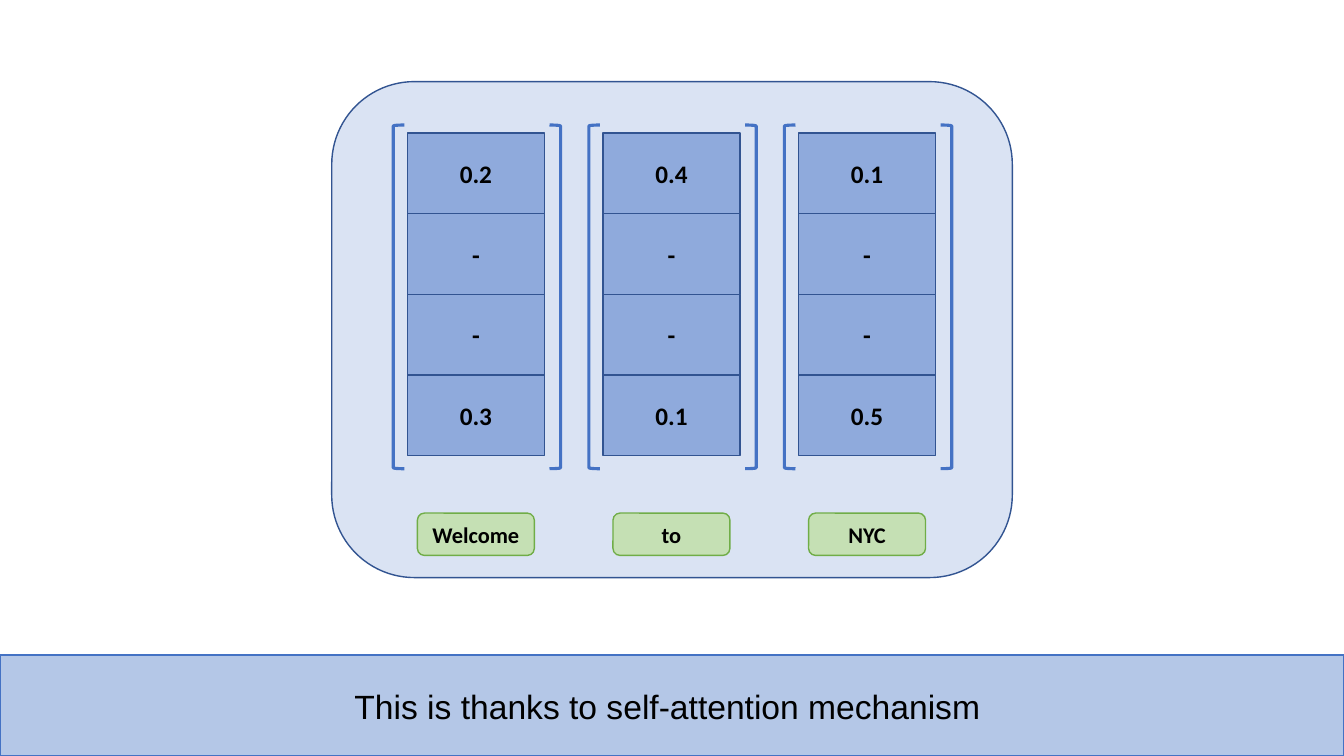
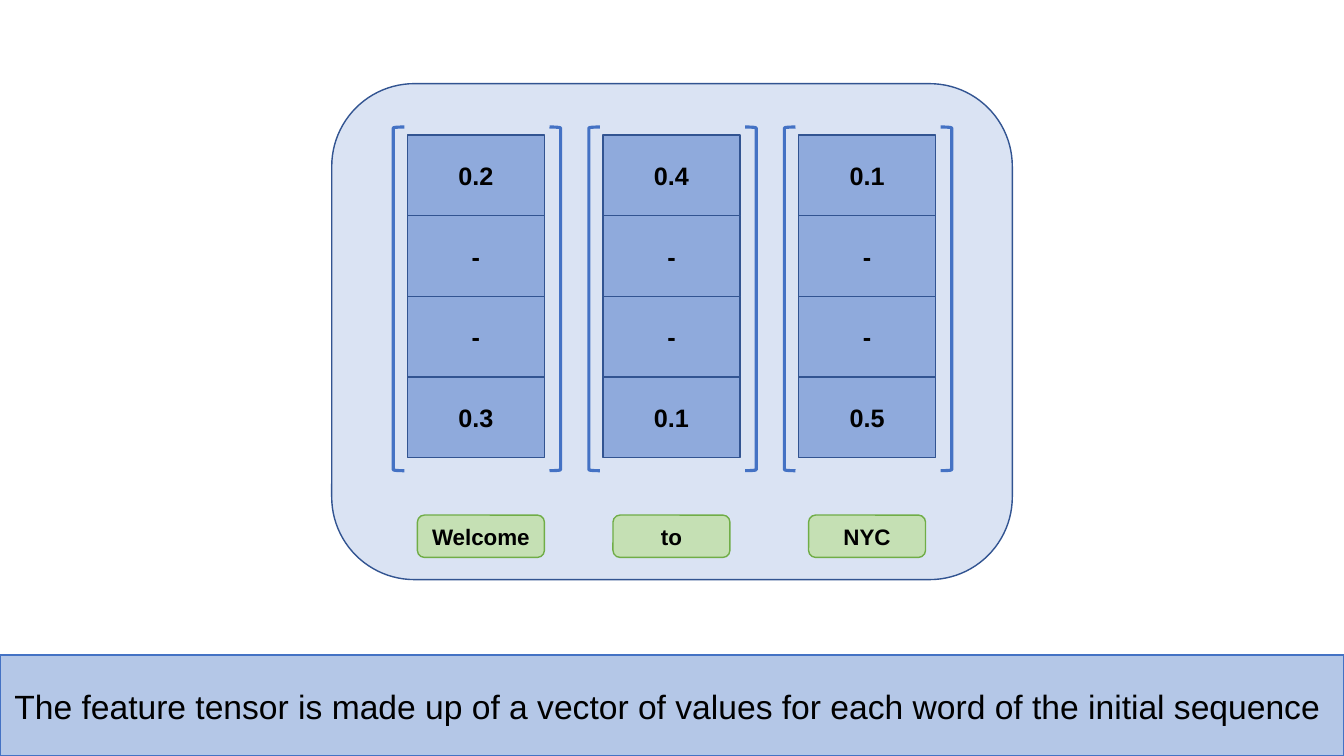
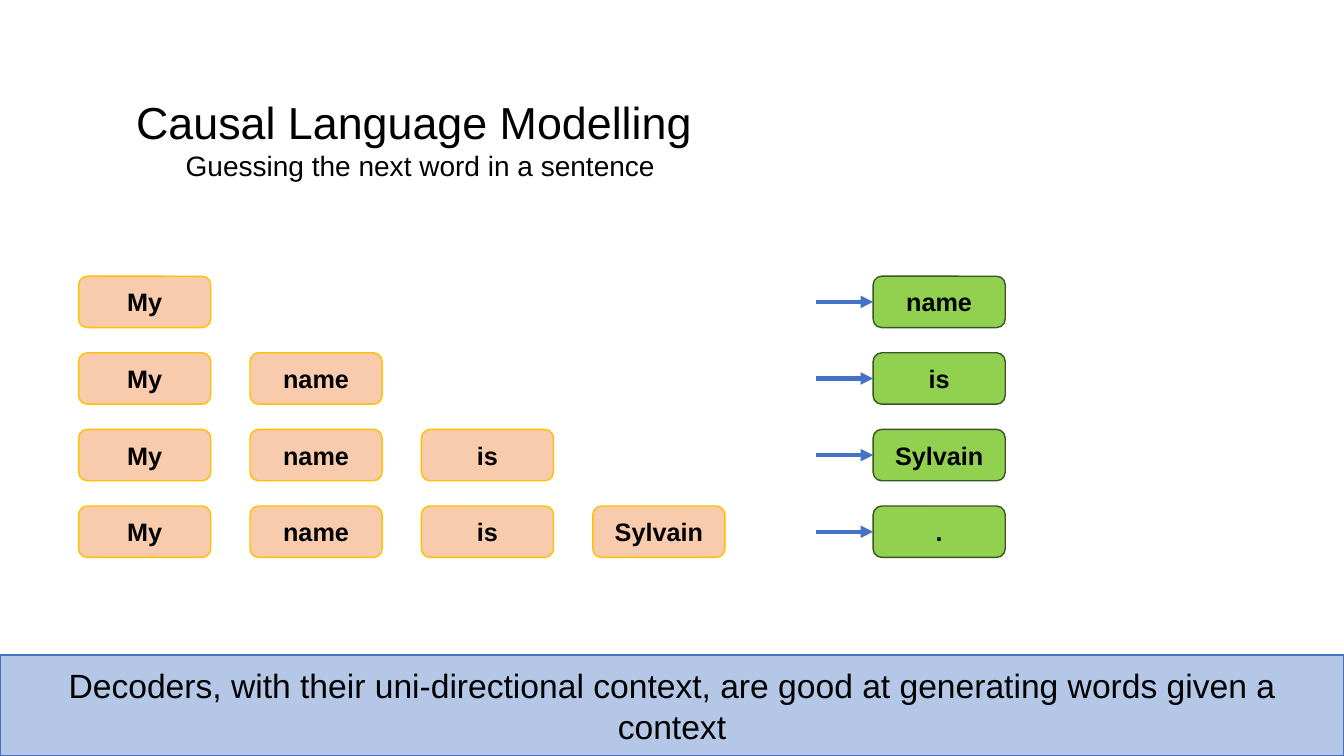
import pptx
import pptx.util
import pptx.dml.color
import pptx.enum.shapes
import pptx.enum.text
import lxml.etree

Inches = pptx.util.Inches
Pt = pptx.util.Pt
RGBColor = pptx.dml.color.RGBColor
SHAPE = pptx.enum.shapes.MSO_SHAPE
LINK = pptx.enum.shapes.MSO_CONNECTOR
ALIGN = pptx.enum.text.PP_ALIGN
ANCHOR = pptx.enum.text.MSO_ANCHOR
FIT = pptx.enum.text.MSO_AUTO_SIZE
DRAW = "{http://schemas.openxmlformats.org/drawingml/2006/main}"

BLACK = RGBColor(0x00, 0x00, 0x00)
BLUE = RGBColor(0x44, 0x72, 0xC4)
NAVY = RGBColor(0x32, 0x54, 0x91)
SKY = RGBColor(0xB4, 0xC7, 0xE7)
PALE = RGBColor(0xDA, 0xE3, 0xF3)
STEEL = RGBColor(0x8F, 0xAA, 0xDC)
MINT = RGBColor(0xC5, 0xE0, 0xB4)
GREEN = RGBColor(0x70, 0xAD, 0x47)
PEACH = RGBColor(0xF8, 0xCB, 0xAD)
GOLD = RGBColor(0xFF, 0xC0, 0x00)
LIME = RGBColor(0x92, 0xD0, 0x50)
FOREST = RGBColor(0x38, 0x57, 0x23)

WIDTH, HEIGHT = 13.33, 7.5
BAND = {"kind": SHAPE.RECTANGLE, "fill": SKY, "line": BLUE}
PANEL = {"kind": SHAPE.ROUNDED_RECTANGLE, "fill": PALE, "line": NAVY}
CELL = {"kind": SHAPE.RECTANGLE, "fill": STEEL, "line": NAVY}
LABEL = {"kind": SHAPE.ROUNDED_RECTANGLE, "fill": MINT, "line": GREEN}
LEFT = {"kind": SHAPE.LEFT_BRACKET, "fill": None, "line": BLUE, "width": 2.25}
RIGHT = {**LEFT, "kind": SHAPE.RIGHT_BRACKET}
GIVEN = {"kind": SHAPE.ROUNDED_RECTANGLE, "fill": PEACH, "line": GOLD}
GUESS = {"kind": SHAPE.ROUNDED_RECTANGLE, "fill": LIME, "line": FOREST}

PLAIN = {"name": "Arial", "size": Pt(24), "bold": False}
HEAD = {**PLAIN, "size": Pt(32)}
SUB = {**PLAIN, "size": Pt(20)}
STRONG = {"name": "Arial", "size": Pt(18), "bold": True}

VECTORS = [
    ("Welcome", ["0.2", "-", "-", "0.3"]),
    ("to", ["0.4", "-", "-", "0.1"]),
    ("NYC", ["0.1", "-", "-", "0.5"]),
]
WORDS = ["My", "name", "is", "Sylvain", "."]


def write(para, text, form):
    para.text = text
    para.alignment = ALIGN.CENTER
    font = para.runs[0].font
    for key, value in form.items():
        setattr(font, key, value)
    font.color.rgb = BLACK


def block(shapes, style, left, top, width, height, text="", form=STRONG):
    shape = shapes.add_shape(style["kind"], Inches(left), Inches(top),
                             Inches(width), Inches(height))
    shape.shadow.inherit = False
    if style["fill"] is None:
        shape.fill.background()
    else:
        shape.fill.solid()
        shape.fill.fore_color.rgb = style["fill"]
    shape.line.color.rgb = style["line"]
    shape.line.width = Pt(style.get("width", 1))
    if text:
        shape.text_frame.vertical_anchor = ANCHOR.MIDDLE
        write(shape.text_frame.paragraphs[0], text, form)
    return shape


def start(deck, layout, text):
    slide = deck.slides.add_slide(deck.slide_layouts[layout])
    block(slide.shapes, BAND, 0, 6.5, WIDTH, 1, text, PLAIN)
    return slide


def vector(shapes, left, top, word, values, form, wide):
    for row, value in enumerate(values):
        block(shapes, CELL, left, top + 0.8 * row, 1.36, 0.8, value, form)
    block(shapes, LABEL, left + 0.1, top + 3.77, wide, 0.42, word,
          {**form, "size": Pt(16)})
    for style, shift in ((LEFT, -0.14), (RIGHT, 1.41)):
        block(shapes, style, left + shift, top - 0.08, 0.11, 3.41)


def tensor(slide, left, top, name, first):
    shapes = slide.shapes.add_group_shape().shapes
    form = {**STRONG, "name": name}
    block(shapes, PANEL, left, top, 6.75, 4.92)
    for col, (word, values) in enumerate(VECTORS):
        wide = 1.16 if col else first
        vector(shapes, left + 0.75 + 1.94 * col, top + 0.51,
               word, values, form, wide)


def heading(slide, left, top, width, height):
    title = slide.shapes.title
    box = {"left": left, "top": top, "width": width, "height": height}
    for key, value in box.items():
        setattr(title, key, Inches(value))
    frame = title.text_frame
    form = {"word_wrap": False, "auto_size": FIT.NONE,
            "vertical_anchor": ANCHOR.TOP}
    for key, value in form.items():
        setattr(frame, key, value)
    write(frame.paragraphs[0], "Causal Language Modelling ", HEAD)
    write(frame.add_paragraph(), "Guessing the next word in a sentence", SUB)


def arrow(shapes, left, goal):
    mid = goal.top + goal.height // 2
    link = shapes.add_connector(LINK.STRAIGHT, Inches(left), mid, goal.left, mid)
    link.end_connect(goal, 1)
    link.line.color.rgb = BLUE
    link.line.width = Pt(3)
    line = link.line._get_or_add_ln()
    lxml.etree.SubElement(line, DRAW + "tailEnd", type="triangle")
    lxml.etree.SubElement(link._element.spPr, DRAW + "effectLst")


def guesses(slide, left, top):
    shapes = slide.shapes
    for row in range(1, len(WORDS)):
        high = top + 0.76 * (row - 1)
        for col, word in enumerate(WORDS[:row]):
            block(shapes, GIVEN, left + 1.7 * col, high, 1.31, 0.51, word)
        goal = block(shapes, GUESS, left + 7.88, high, 1.31, 0.51, WORDS[row])
        arrow(shapes, left + 7.31, goal)


def main():
    deck = pptx.Presentation()
    deck.slide_width = Inches(WIDTH)
    deck.slide_height = Inches(HEIGHT)
    slide = start(deck, 6, "This is thanks to self-attention mechanism ")
    tensor(slide, 3.29, 0.81, "Calibri", 1.16)
    slide = start(deck, 6, "The feature tensor is made up of a vector of values "
                  "for each word of the initial sequence ")
    tensor(slide, 3.29, 0.83, "Arial", 1.26)
    slide = start(deck, 5, "Decoders, with their uni-directional context, "
                  "are good at generating words given a context")
    heading(slide, 1.23, 0.89, 5.88, 0.98)
    guesses(slide, 0.78, 2.74)
    deck.save("out.pptx")


if __name__ == "__main__":
    main()
